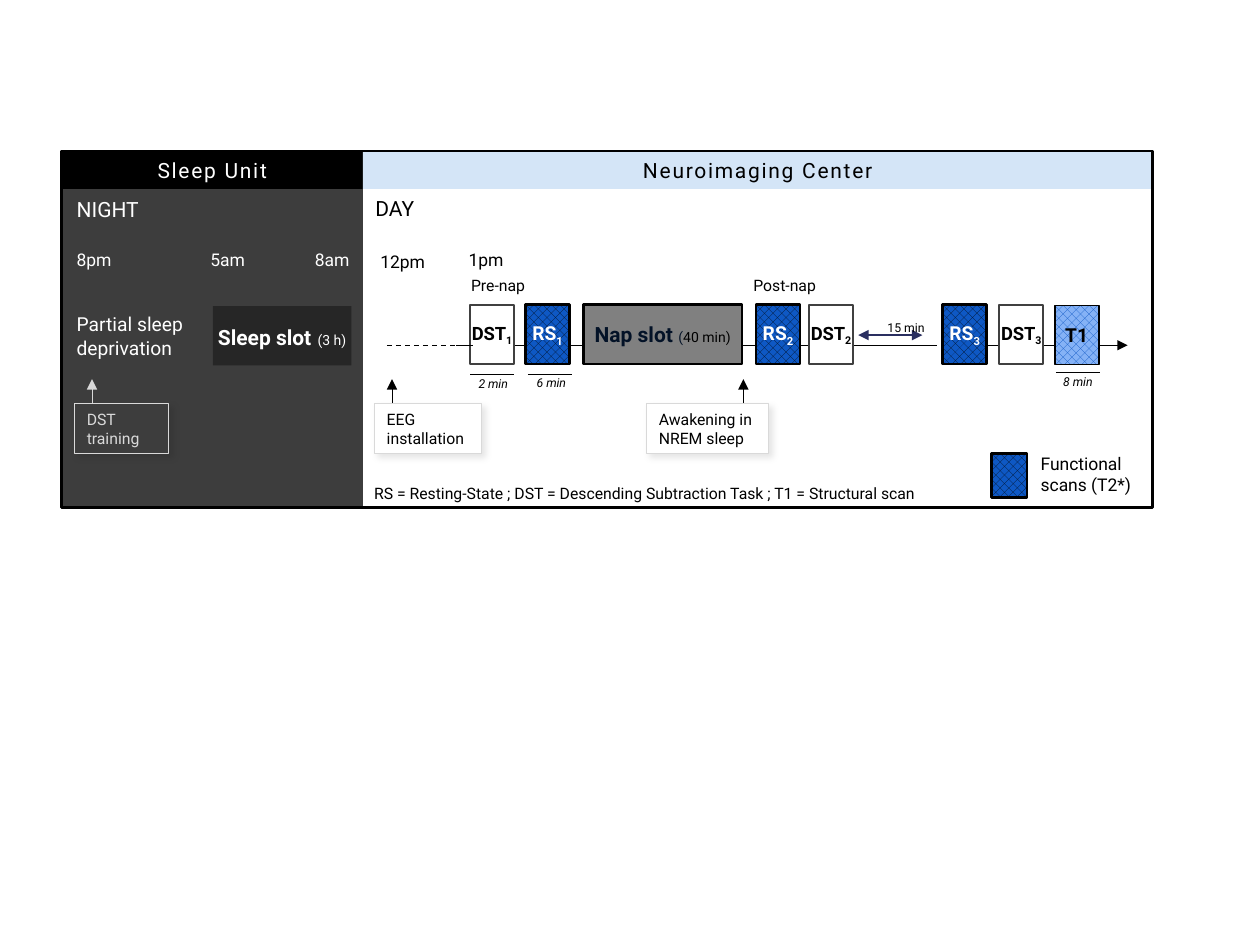
from lxml import etree
from pptx import Presentation
from pptx.dml.color import RGBColor
from pptx.enum.dml import MSO_LINE, MSO_PATTERN
from pptx.enum.shapes import MSO_CONNECTOR, MSO_SHAPE
from pptx.enum.text import MSO_ANCHOR, MSO_AUTO_SIZE, PP_ALIGN
from pptx.oxml.ns import qn
from pptx.util import Pt

RECT, LINE = MSO_SHAPE.RECTANGLE, MSO_CONNECTOR.STRAIGHT
HATCH, DASH = MSO_PATTERN.PERCENT_50, MSO_LINE.DASH
LEFT, CENTER = PP_ALIGN.LEFT, PP_ALIGN.CENTER
TOP, MIDDLE = MSO_ANCHOR.TOP, MSO_ANCHOR.MIDDLE
GROW, FIXED = MSO_AUTO_SIZE.SHAPE_TO_FIT_TEXT, MSO_AUTO_SIZE.NONE

BLACK = RGBColor(0x00, 0x00, 0x00)
WHITE = RGBColor(0xFF, 0xFF, 0xFF)
NIGHT = RGBColor(0x0D, 0x0D, 0x0D)
SLEEP = RGBColor(0x26, 0x26, 0x26)
NOTE = RGBColor(0x3D, 0x3D, 0x3D)
EDGE = RGBColor(0x40, 0x40, 0x40)
GRAY = RGBColor(0x80, 0x80, 0x80)
SILVER = RGBColor(0xD9, 0xD9, 0xD9)
PALE = RGBColor(0xD4, 0xE5, 0xF7)
NAVY = RGBColor(0x03, 0x12, 0x27)
BLUE = RGBColor(0x0E, 0x58, 0xC4)
SKY = RGBColor(0x85, 0xB2, 0xF6)
INDIGO = RGBColor(0x2A, 0x2F, 0x60)

FRAME = (35.3, 86.4, 623.5, 203.8)
SPLIT = 172.1
HEAD = 21.6
SLOT_TOP, SLOT_HIGH, SLOT_WIDE = 87.8, 33.8, 25.2
AXIS = 110.9
SUB = {"baseline": "-25000"}


def put_text(shape, rows, size, color, align=LEFT, anchor=TOP, wrap=False, fit=GROW, **base):
    """Fill a shape with rows, each a string or a list of (text, format, raw) runs."""
    frame = shape.text_frame
    for key, value in dict(word_wrap=wrap, auto_size=fit, vertical_anchor=anchor).items():
        setattr(frame, key, value)
    for i, row in enumerate(rows):
        para = frame.paragraphs[0] if i == 0 else frame.add_paragraph()
        para.alignment = align
        for text, form, raw in [(row, {}, {})] if isinstance(row, str) else row:
            run = para.add_run()
            run.text = text
            form = {"name": "Roboto", "size": Pt(size), "color": color, **base, **form}
            run.font.color.rgb = form.pop("color")
            for key, value in form.items():
                setattr(run.font, key, value)
            for key, value in raw.items():
                run.font._element.set(key, value)


def add_box(slide, x, y, w, h, fill=None, line=None, width=0.75, hatch=None):
    """Add a rectangle with a plain, hatched or empty fill."""
    shape = slide.shapes.add_shape(RECT, Pt(x), Pt(y), Pt(w), Pt(h))
    shape.shadow.inherit = False
    if hatch:
        shape.fill.patterned()
        shape.fill.pattern = HATCH
        shape.fill.fore_color.rgb, shape.fill.back_color.rgb = hatch
    elif fill is not None:
        shape.fill.solid()
        shape.fill.fore_color.rgb = fill
    else:
        shape.fill.background()
    if line is not None:
        shape.line.color.rgb = line
        shape.line.width = Pt(width)
    else:
        shape.line.fill.background()
    return shape


def add_text(slide, x, y, w, h, rows, size, color=BLACK, **form):
    """Add a text box."""
    shape = slide.shapes.add_textbox(Pt(x), Pt(y), Pt(w), Pt(h))
    put_text(shape, rows, size, color, **form)


def add_line(slide, x1, y1, x2, y2, color=BLACK, width=0.75, ends=(), dash=None):
    """Add a straight line with triangles at the named ends."""
    line = slide.shapes.add_connector(LINE, Pt(x1), Pt(y1), Pt(x2), Pt(y2))
    line.line.color.rgb = color
    line.line.width = Pt(width)
    if dash:
        line.line.dash_style = dash
    for end in ends:
        etree.SubElement(line.line._get_or_add_ln(), qn(f"a:{end}"), type="triangle")
    etree.SubElement(line._element.spPr, qn("a:effectLst"))


def add_head(slide, x, y, w, title, fill, color):
    """Add the title band of a site."""
    band = add_box(slide, x, y, w, HEAD, fill)
    put_text(band, [[(title, {}, {"spc": "100"})]], 12, color, CENTER, wrap=True)


def add_note(slide, x, y, w, rows, tip, fill=WHITE, line=SILVER, ink=BLACK, arrow=BLACK):
    """Add a shadowed note with an arrow that points up at the time line."""
    add_line(slide, tip, y + 3.6, tip, y - 13.7, arrow, 0.5, ["tailEnd"])
    note = add_box(slide, x, y, w, 28.8, fill, line)
    put_text(note, rows, 9, ink, wrap=True)
    effect = note._element.spPr.find(qn("a:effectLst"))
    cast = etree.SubElement(effect, qn("a:outerShdw"), blurRad=str(Pt(4)), dist=str(Pt(3)),
                            dir="2700000", algn="tl", rotWithShape="0")
    tint = etree.SubElement(cast, qn("a:srgbClr"), val=str(BLACK))
    etree.SubElement(tint, qn("a:alpha"), val="10000")


def add_slot(slide, x, y, w, row, size, color, **look):
    """Add a block of the time line with its centred label."""
    slot = add_box(slide, x, y, w, SLOT_HIGH, **look)
    put_text(slot, [row], size, color, CENTER, MIDDLE, fit=FIXED, bold=True)


def draw_night(slide, x, y, w, h):
    """Draw the night at the sleep unit."""
    back = add_box(slide, x, y + HEAD, w, h - HEAD, NIGHT)
    tint = back._element.spPr.find(qn("a:solidFill"))[0]
    etree.SubElement(tint, qn("a:alpha"), val="80000")
    add_head(slide, x, y, w, "Sleep Unit", BLACK, WHITE)
    add_text(slide, x + 1.4, y + 22.3, 59, 21.6, ["NIGHT"], 12, WHITE, wrap=True)
    for hour, dx in (("8pm", 1.4), ("5am", 77.8), ("8am", 137.5)):
        add_text(slide, x + dx, y + 52.6, 34.6, 19.4, [hour], 10, WHITE)
    add_text(slide, x + 1.4, y + 88.6, 76.3, SLOT_HIGH, ["Partial sleep", "deprivation"], 11,
             WHITE, anchor=MIDDLE, fit=FIXED)
    label = [("Sleep slot", {}, {}), (" ", {"size": Pt(14)}, {}),
             ("(3 h)", {"size": Pt(8), "bold": False}, {})]
    add_slot(slide, x + 86.4, y + 88.6, 79.2, label, 12, WHITE, fill=SLEEP)
    add_note(slide, x + 7.2, y + 144, 54, ["DST", "training"], x + 17.3, NOTE, ink=SILVER,
             arrow=SILVER)


def draw_slots(slide, x, y):
    """Draw the time line of the day with its scans and the nap."""
    add_line(slide, x + 53.3, y + AXIS, x + 328.3, y + AXIS)
    add_line(slide, x + 331.9, y + AXIS, x + 437, y + AXIS, ends=["tailEnd"])
    top = y + SLOT_TOP
    task = dict(size=10.5, color=BLACK, fill=WHITE, line=EDGE, width=1)
    rest = dict(size=11, color=WHITE, line=BLACK, width=1.5, hatch=(NAVY, BLUE))
    for name, look, places in (("DST", task, (61.2, 254.9, 363.6)),
                               ("RS", rest, (92.9, 224.6, 331.2))):
        for i, dx in enumerate(places, 1):
            label = [(name, {}, {}), (str(i), {}, SUB)]
            add_slot(slide, x + dx, top, SLOT_WIDE, label, **look)
    small = {"size": Pt(8), "bold": False}
    nap = [("Nap slot ", {}, {}), ("(", small, {}), ("40 min)", {**small, "color": BLACK}, {})]
    add_slot(slide, x + 126, top, 90.7, nap, 12, NAVY, fill=GRAY, line=BLACK, width=1.5)
    add_slot(slide, x + 395.3, top + 0.4, SLOT_WIDE, "T1", 11, BLACK, line=BLACK, width=1,
             hatch=(BLUE, SKY))
    add_line(slide, x + 13.7, y + AXIS, x + 64.8, y + AXIS, dash=DASH)
    for span, dx, dy, start, rule in (("2 min", 59, 125.3, 61.2, 127.4),
                                      ("6 min", 92.2, 124.6, 94.3, 127.4),
                                      ("8 min", 393.1, 123.8, 396, 126.7)):
        add_line(slide, x + start, y + rule, x + start + SLOT_WIDE, y + rule, width=0.5)
        add_text(slide, x + dx, y + dy, 31.7, 15.8, [span], 7, italic=True)
    add_line(slide, x + 283, y + 105.1, x + 319.7, y + 105.1, INDIGO,
             ends=["headEnd", "tailEnd"])
    add_text(slide, x + 289.4, y + 92.9, 41.8, 15.8, ["15 min"], 7, align=CENTER, wrap=True)


def draw_day(slide, x, y, w, h):
    """Draw the day at the imaging site."""
    add_head(slide, x, y, w, "Neuroimaging Center", PALE, BLACK)
    add_text(slide, x, y + 21.6, 48.2, 21.6, ["DAY"], 12, wrap=True)
    for text, dx, dy, wide, size in (("12pm", 2.9, 53.3, 40.3, 10), ("1pm", 53.3, 52.6, 34.6, 10),
                                     ("Pre-nap", 54.7, 67.7, 47.5, 9),
                                     ("Post-nap", 216, 67.7, 52.6, 9)):
        add_text(slide, x + dx, y + dy, wide, 2 * size, [text], size)
    draw_slots(slide, x, y)
    add_note(slide, x + 6.5, y + 144, 61.2, ["EEG", "installation"], x + 16.6)
    add_note(slide, x + 162, y + 144, 69.8, ["Awakening in NREM sleep"], x + 217.4)
    add_box(slide, x + 359.3, y + 172.8, 20.2, 25.2, line=BLACK, width=1.5, hatch=(NAVY, BLUE))
    add_text(slide, x + 380.2, y + 169.2, 67, 31.7, ["Functional", "scans (T2*)"], 10)
    key = "RS = Resting-State ; DST = Descending Subtraction Task ; T1 = Structural scan"
    add_text(slide, x - 0.7, y + h - 17.3, 335.5, 18, [key], 9, wrap=True)


def main():
    """Build the slide and save it."""
    deck = Presentation()
    deck.slide_width, deck.slide_height = Pt(720), Pt(540)
    slide = deck.slides.add_slide(deck.slide_layouts[6])
    x, y, w, h = FRAME
    draw_night(slide, x, y, SPLIT, h)
    draw_day(slide, x + SPLIT, y, w - SPLIT, h)
    add_box(slide, x, y, w, h, line=BLACK, width=1.5)
    deck.save("out.pptx")


if __name__ == "__main__":
    main()
